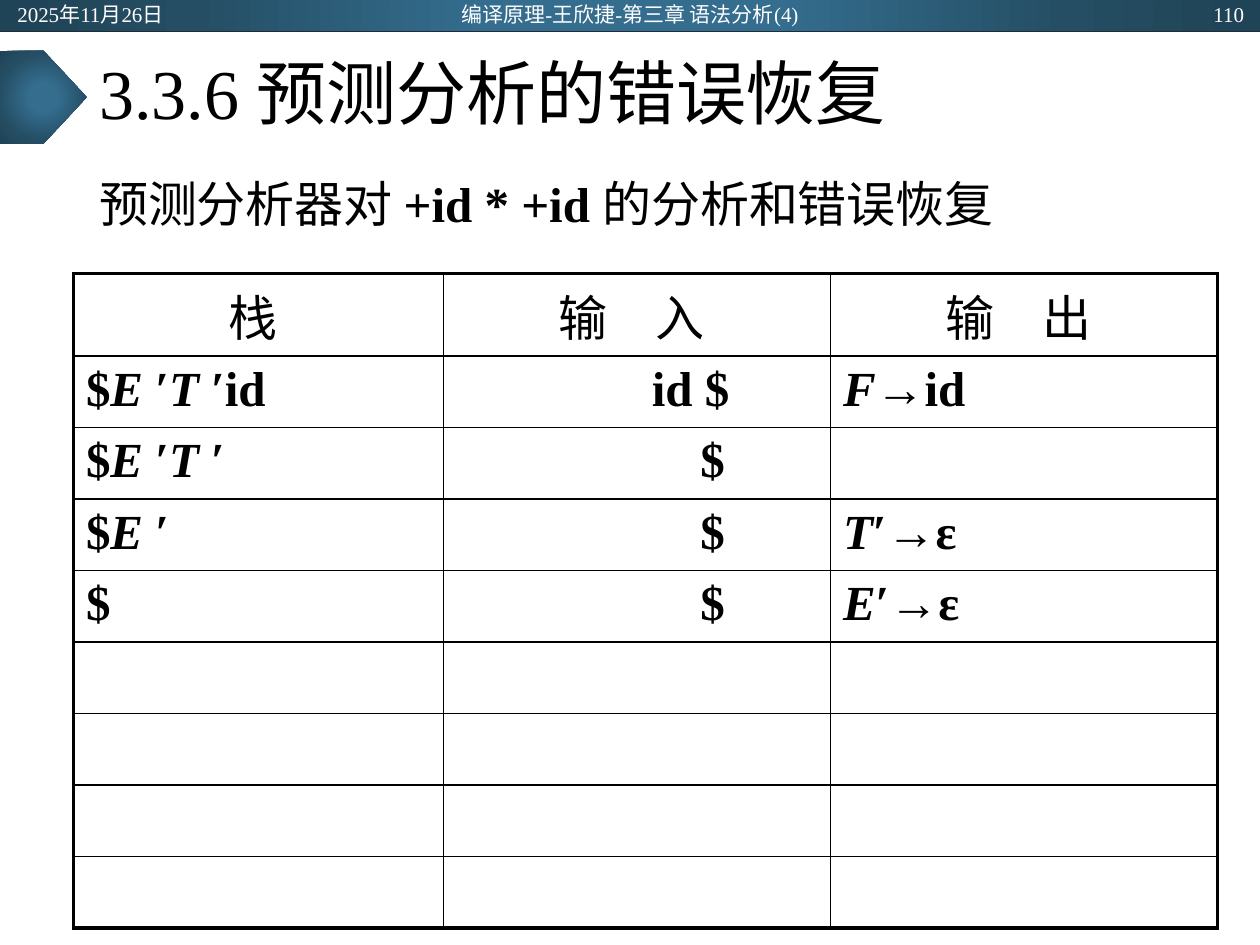
from lxml.etree import SubElement
from pptx import Presentation
from pptx.dml.color import RGBColor
from pptx.enum.shapes import MSO_CONNECTOR, MSO_SHAPE
from pptx.enum.text import MSO_ANCHOR, PP_ALIGN
from pptx.oxml import parse_xml
from pptx.oxml.ns import nsdecls, qn
from pptx.util import Cm, Pt

THEME = {
    "font": "Times New Roman",
    "ink": "000000", "pale": "FFFFFF", "rule": "222A35",
    "glow": [(0, "346D8E"), (23, "346D8E"), (69, "254E64"), (97, "204457")],
    "title": 40, "body": 28, "small": 12,
    "thick": 2.25, "thin": 1, "hair": 0.5,
}

TITLE = [("3.3.6 预测分析的错误恢复", "")]
LEAD = [("预测分析器对 ", ""), ("+id * +id ", "b"), ("的分析和错误恢复", "")]
TOP = [
    ("2025年11月26日", 0.1, 5.72, PP_ALIGN.LEFT),
    ("编译原理-王欣捷-第三章 语法分析(4)", 8.41, 8.58, PP_ALIGN.CENTER),
    ("110", 19.61, 5.72, PP_ALIGN.RIGHT),
]
HEADS = ["栈 ", "输　入 ", "输　出 "]
STEPS = [
    ([("$", "b"), ("E ", "bi"), ("′", "b"), ("T ", "bi"), ("′id", "b")],
     "id $", [("F", "bi"), ("→id", "b")]),
    ([("$", "b"), ("E ", "bi"), ("′", "b"), ("T ", "bi"), ("′", "b")],
     "$", []),
    ([("$", "b"), ("E ", "bi"), ("′", "b")],
     "$", [("T", "bi"), ("′→ε", "b")]),
    ([("$", "b")], "$", [("E", "bi"), ("′→ε", "b")]),
]
SPARE = 4
INSET = {"id $": 4.2, "$": 5.18}
COLS = [7.46, 7.8, 7.8]
HEAD, ROW = 1.67, 1.44


def write(frame, runs, size, color="ink", align=PP_ALIGN.LEFT, space=None):
    para = frame.paragraphs[0]
    para.alignment = align
    if space:
        para.line_spacing = space
    for text, style in runs:
        run = para.add_run()
        run.text = text
        font = run.font
        font.name = THEME["font"]
        font.size = Pt(THEME[size])
        font.bold = "b" in style
        font.italic = "i" in style
        font.color.rgb = RGBColor.from_string(THEME[color])


def label(slide, box, runs, size, anchor=MSO_ANCHOR.MIDDLE, **look):
    frame = slide.shapes.add_textbox(*map(Cm, box)).text_frame
    frame.word_wrap = True
    frame.vertical_anchor = anchor
    write(frame, runs, size, **look)


def glow(slide, kind, box):
    shape = slide.shapes.add_shape(kind, *map(Cm, box))
    shape.shadow.inherit = False
    shape.line.fill.background()
    shape.fill.background()
    stops = "".join(
        f'<a:gs pos="{pos * 1000}"><a:srgbClr val="{color}"/></a:gs>'
        for pos, color in THEME["glow"])
    grad = parse_xml(
        f'<a:gradFill {nsdecls("a")} rotWithShape="1"><a:gsLst>{stops}</a:gsLst>'
        '<a:path path="circle"><a:fillToRect l="50000" t="50000" r="50000" '
        'b="50000"/></a:path></a:gradFill>')
    props = shape._element.spPr
    props.replace(props.find(qn("a:noFill")), grad)


def edge(cell, sides):
    props = cell._tc.get_or_add_tcPr()
    for side, outer in sides:
        width = Pt(THEME["thick" if outer else "thin"])
        line = SubElement(props, qn(f"a:ln{side}"), w=str(width))
        fill = SubElement(line, qn("a:solidFill"))
        SubElement(fill, qn("a:srgbClr"), val=THEME["ink"])


def grid(slide):
    rows = [[[(head, "")] for head in HEADS]]
    rows += [[stack, [(rest, "b")], out] for stack, rest, out in STEPS]
    rows += [[[]] * len(COLS)] * SPARE
    tall = [HEAD] + [ROW] * (len(rows) - 1)
    table = slide.shapes.add_table(
        len(rows), len(COLS), Cm(1.48), Cm(5.51),
        Cm(sum(COLS)), Cm(sum(tall))).table
    table.first_row = table.horz_banding = False
    for col, width in zip(table.columns, COLS):
        col.width = Cm(width)
    for r, row in enumerate(rows):
        table.rows[r].height = Cm(tall[r])
        for c, runs in enumerate(row):
            cell = table.cell(r, c)
            edge(cell, [("L", c == 0), ("R", c == len(COLS) - 1),
                        ("T", r == 0), ("B", r == len(rows) - 1)])
            cell.fill.background()
            if c == 1 and runs and r:
                cell.margin_left = Cm(INSET[runs[0][0]])
            write(cell.text_frame, runs, "body",
                  align=PP_ALIGN.LEFT if r else PP_ALIGN.CENTER)


def main():
    deck = Presentation()
    deck.slide_width, deck.slide_height = Cm(25.4), Cm(19.05)
    slide = deck.slides.add_slide(deck.slide_layouts[6])

    glow(slide, MSO_SHAPE.RECTANGLE, (0, 0, 25.4, 0.64))
    rule = slide.shapes.add_connector(
        MSO_CONNECTOR.STRAIGHT, 0, Cm(0.64), Cm(25.4), Cm(0.64))
    rule.line.color.rgb = RGBColor.from_string(THEME["rule"])
    rule.line.width = Pt(THEME["hair"])
    SubElement(rule._element.spPr, qn("a:effectLst"))
    glow(slide, MSO_SHAPE.PENTAGON, (0, 1.02, 1.75, 1.88))

    label(slide, (1.75, 0.64, 21.89, 2.64), TITLE, "title", space=0.9)
    label(slide, (1.75, 3.51, 21.89, 13.67), LEAD, "body",
          anchor=MSO_ANCHOR.TOP, space=0.9)
    grid(slide)
    for text, left, width, align in TOP:
        label(slide, (left, 0.03, width, 0.51), [(text, "")], "small",
              color="pale", align=align)

    deck.save("out.pptx")


if __name__ == "__main__":
    main()
